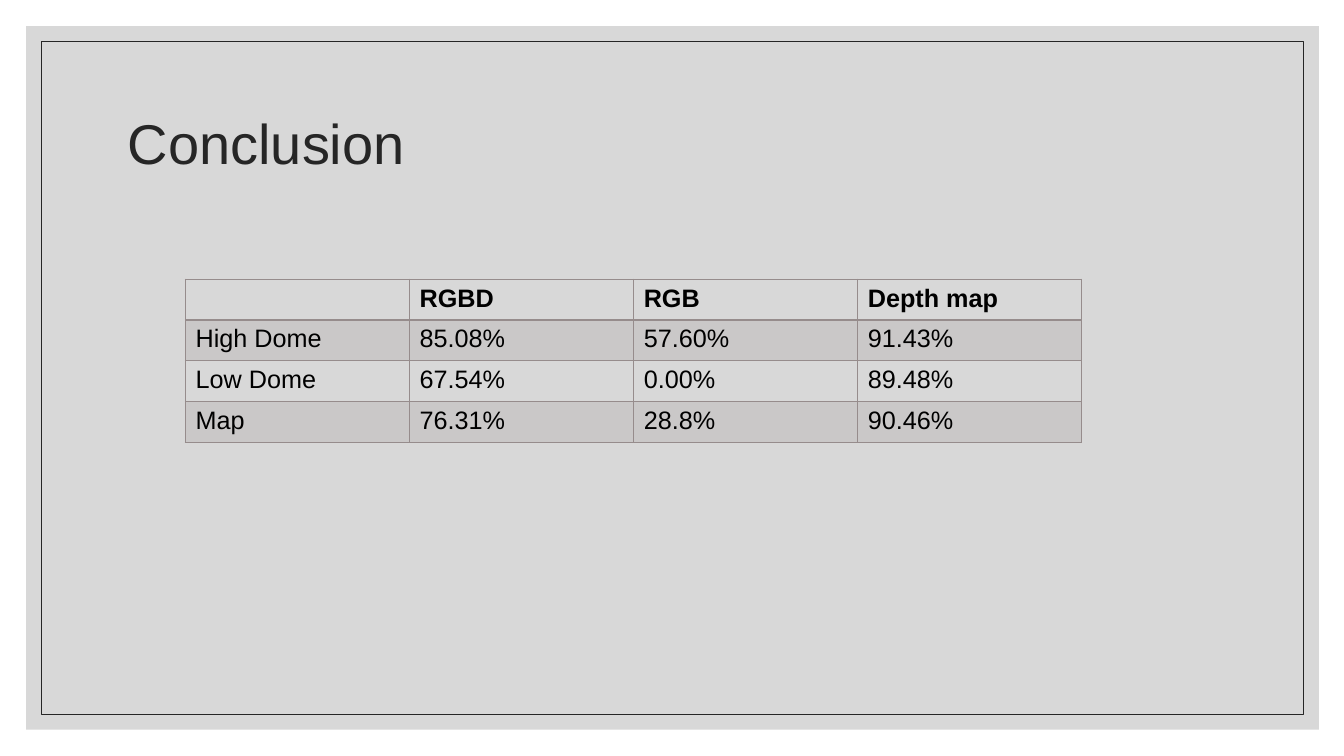
from lxml.etree import SubElement
from pptx import Presentation
from pptx.dml.color import RGBColor
from pptx.enum.shapes import MSO_SHAPE
from pptx.enum.text import MSO_ANCHOR
from pptx.oxml.ns import qn
from pptx.util import Inches, Pt

COLORS = {"panel": "BFBFBF", "ink": "262626", "rule": "968C8C", "text": "000000"}
FONT = "Arial"
RESULTS = [
    ["", "RGBD", "RGB", "Depth map"],
    ["High Dome", "85.08%", "57.60%", "91.43%"],
    ["Low Dome", "67.54%", "0.00%", "89.48%"],
    ["Map", "76.31%", "28.8%", "90.46%"],
]


def color(name):
    return RGBColor.from_string(COLORS[name])


def style_font(font, size, name, bold=False):
    font.name = FONT
    font.size = Pt(size)
    font.bold = bold
    font.color.rgb = color(name)


def fill_clear(fill, name, percent):
    fill.solid()
    fill.fore_color.rgb = color(name)
    for clr in fill._xPr.iterfind(qn("a:solidFill") + "/" + qn("a:srgbClr")):
        SubElement(clr, qn("a:alpha"), val=str(percent * 1000))


def add_rect(s, x, y, w, h):
    sp = s.shapes.add_shape(MSO_SHAPE.RECTANGLE, Inches(x), Inches(y), Inches(w), Inches(h))
    sp.shadow.inherit = False
    return sp


def add_frame(s, x, y, w, h, inset=0.15):
    panel = add_rect(s, x, y, w, h)
    fill_clear(panel.fill, "panel", 60)
    panel.line.fill.background()
    border = add_rect(s, x + inset, y + inset, w - 2 * inset, h - 2 * inset)
    border.fill.background()
    border.line.color.rgb = color("ink")
    border.line.width = Pt(0.5)


def add_title(s, x, y, w, h, text):
    tf = s.shapes.add_textbox(Inches(x), Inches(y), Inches(w), Inches(h)).text_frame
    tf.word_wrap = True
    tf.vertical_anchor = MSO_ANCHOR.MIDDLE
    tf.text = text
    p = tf.paragraphs[0]
    p.line_spacing = 0.9
    style_font(p.runs[0].font, 40, "ink")


def add_borders(cell, widths):
    tcPr = cell._tc.get_or_add_tcPr()
    for side, width in widths.items():
        ln = SubElement(tcPr, qn("a:ln" + side), w=str(Pt(width)))
        SubElement(SubElement(ln, qn("a:solidFill")), qn("a:srgbClr"), val=COLORS["rule"])


def add_results(s, x, y, w, h, rows):
    table = s.shapes.add_table(
        len(rows), len(rows[0]), Inches(x), Inches(y), Inches(w), Inches(h)
    ).table
    table.horz_banding = False
    for i, row in enumerate(rows):
        for j, value in enumerate(row):
            cell = table.cell(i, j)
            cell.text = value
            style_font(cell.text_frame.paragraphs[0].font, 18, "text", i == 0)
            for r in cell.text_frame.paragraphs[0].runs:
                style_font(r.font, 18, "text", i == 0)
            add_borders(cell, {"L": 1, "R": 1, "T": 2 if i == 1 else 1, "B": 2 if i == 0 else 1})
            if i % 2:
                fill_clear(cell.fill, "rule", 20)
            else:
                cell.fill.background()


def main():
    prs = Presentation()
    prs.slide_width = Inches(13.33)
    prs.slide_height = Inches(7.5)
    s = prs.slides.add_slide(prs.slide_layouts[6])
    add_frame(s, 0.26, 0.26, 12.82, 6.98)
    add_title(s, 1.17, 0.7, 11, 1.5, "Conclusion")
    add_results(s, 1.84, 2.77, 8.89, 1.62, RESULTS)
    prs.save("out.pptx")


if __name__ == "__main__":
    main()
